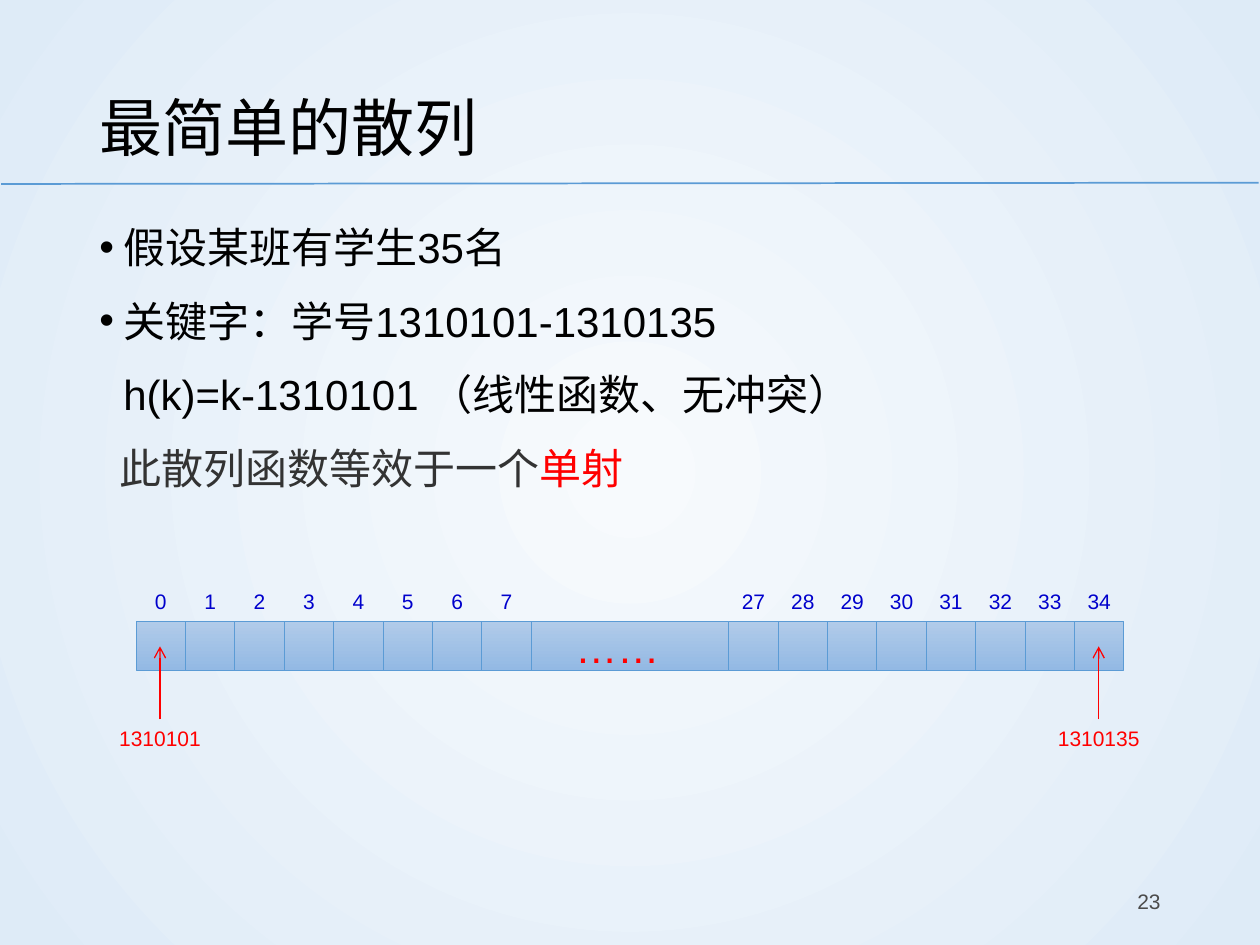
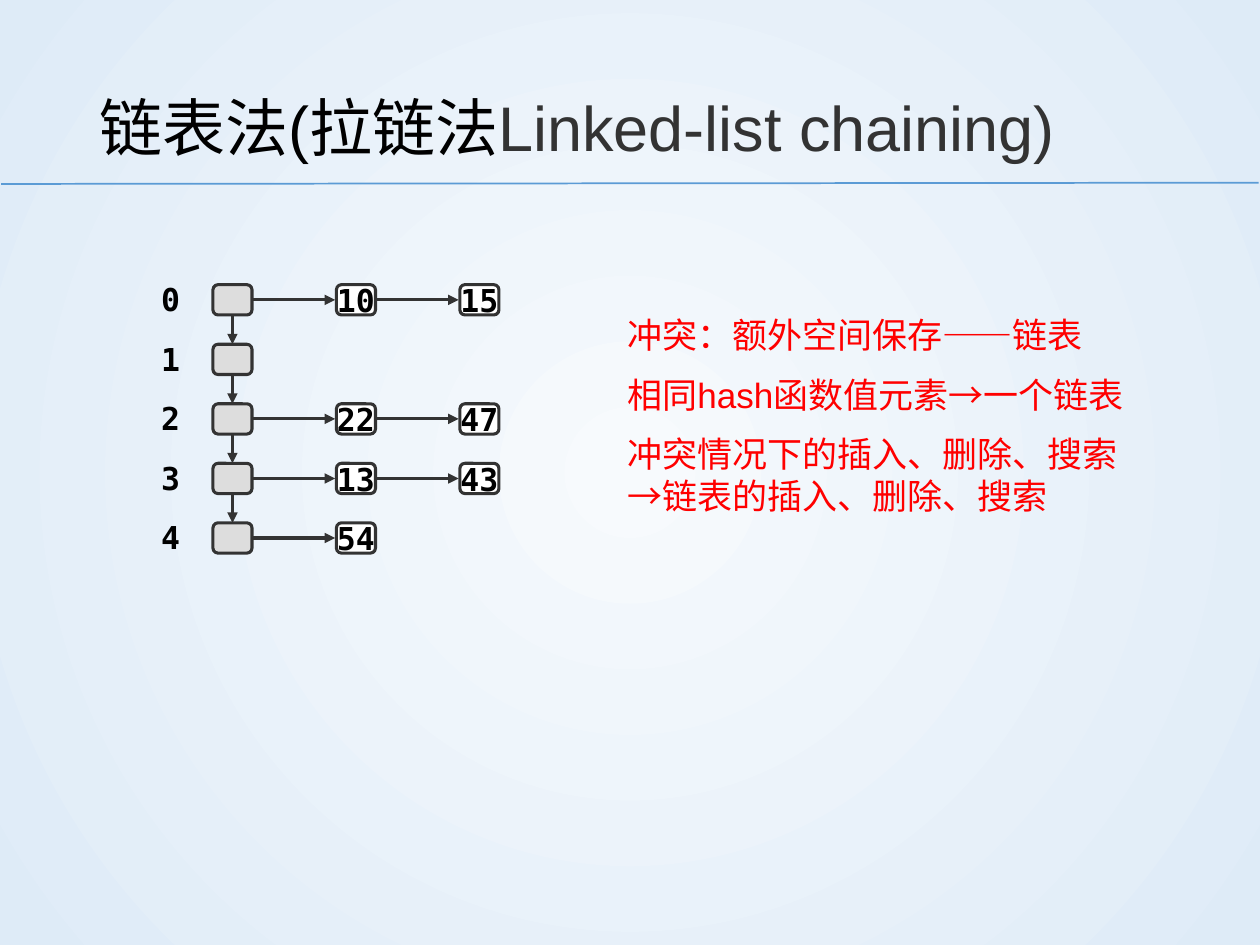
"""Build two slides on hashing: direct addressing and linked-list chaining."""
from lxml.etree import SubElement
from pptx import Presentation
from pptx.dml.color import RGBColor
from pptx.enum.shapes import MSO_CONNECTOR, MSO_SHAPE
from pptx.enum.text import MSO_ANCHOR, PP_ALIGN
from pptx.oxml.ns import qn
from pptx.util import Inches, Pt

BLACK = RGBColor(0x00, 0x00, 0x00)
DARK = RGBColor(0x33, 0x33, 0x33)
GREY = RGBColor(0x4B, 0x4B, 0x4B)
RED = RGBColor(0xFF, 0x00, 0x00)
INDEX_BLUE = RGBColor(0x00, 0x00, 0xCC)
RULE_BLUE = RGBColor(0x5B, 0x9B, 0xD5)
SLOT = RGBColor(0xDD, 0xDD, 0xDD)
WHITE = RGBColor(0xFF, 0xFF, 0xFF)
BG_STOPS = RGBColor(0xF7, 0xFA, 0xFD), RGBColor(0xDE, 0xEB, 0xF7)
CELL_STOPS = RGBColor(0xB1, 0xCB, 0xE9), RGBColor(0x93, 0xB9, 0xE4)

TITLE = {"size": Pt(36), "name": "Arial"}
BODY = {"size": Pt(24), "name": "Arial"}
NOTE = {"size": Pt(20), "name": "Arial"}
SMALL = {"size": Pt(12), "name": "Arial"}
MONO = {"size": Pt(18), "name": "DejaVu Sans Mono", "bold": True}
CENTER = {"alignment": PP_ALIGN.CENTER}
MIDDLE = {"vertical_anchor": MSO_ANCHOR.MIDDLE}
NO_SIDES = {"margin_left": 0, "margin_right": 0}
TIGHT = {**MIDDLE, **NO_SIDES, "margin_top": 0, "margin_bottom": 0, "word_wrap": False}


def write(sp, paragraphs, font, para={}, frame={}):
    tf = sp.text_frame
    for key, value in {"word_wrap": True, **frame}.items():
        setattr(tf, key, value)
    for i, runs in enumerate(paragraphs):
        p = tf.add_paragraph() if i else tf.paragraphs[0]
        for key, value in para.items():
            setattr(p, key, value)
        for text, color in runs:
            r = p.add_run()
            r.text = text
            r.font.color.rgb = color
            for key, value in font.items():
                setattr(r.font, key, value)
    return tf


def connect(s, x1, y1, x2, y2, color, width, head=None):
    c = s.shapes.add_connector(MSO_CONNECTOR.STRAIGHT, *map(Inches, (x1, y1, x2, y2)))
    c.line.color.rgb = color
    c.line.width = Pt(width)
    spPr = c.element.spPr
    if head:
        SubElement(spPr.find(qn("a:ln")), qn("a:tailEnd"), type=head)
    SubElement(spPr, qn("a:effectLst"))


prs = Presentation()
prs.slide_width, prs.slide_height = Inches(10), Inches(7.5)

titles = [
    [("最简单的散列", BLACK)],
    [("链表法(拉链法", BLACK), ("Linked-list chaining)", DARK)],
]
slides = []
for title in titles:
    s = prs.slides.add_slide(prs.slide_layouts[6])
    fill = s.background.fill
    fill.gradient()
    for stop, color in zip(fill.gradient_stops, BG_STOPS):
        stop.color.rgb = color
    lin = next(s.background._cSld.iter(qn("a:lin")))
    grad = lin.getparent()
    grad.remove(lin)
    circle = SubElement(grad, qn("a:path"), path="circle")
    SubElement(circle, qn("a:fillToRect"), {side: "50000" for side in "ltrb"})
    connect(s, 0.01, 1.46, 9.99, 1.45, RULE_BLUE, 1)
    sp = s.shapes.add_textbox(*map(Inches, (0.69, 0.4, 8.62, 1.08)))
    write(sp, [title], TITLE, {"line_spacing": 1.2}, MIDDLE)
    slides.append(s)
direct, chaining = slides

s = direct
sp = s.shapes.add_textbox(*map(Inches, (0.69, 1.63, 8.62, 5.13)))
tf = write(sp, [
    [("假设某班有学生35名", BLACK)],
    [("关键字：学号1310101-1310135", BLACK)],
    [("h(k)=k-1310101 （线性函数、无冲突）", BLACK)],
    [("此散列函数等效于一个", DARK), ("单射", RED)],
], BODY, {"line_spacing": 1.2, "space_before": Pt(7.5)})
for p, margin, bullet in zip(tf.paragraphs, (0.19, 0.19, 0.19, 0.16), (True, True, False, False)):
    pPr = p._p.get_or_add_pPr()
    pPr.set("marL", str(Inches(margin)))
    pPr.set("indent", str(-Inches(margin) if bullet else 0))
    if bullet:
        SubElement(pPr, qn("a:buFont"), typeface="Arial")
        SubElement(pPr, qn("a:buChar"), char="•")

sp = s.shapes.add_textbox(*map(Inches, (7.06, 6.95, 2.25, 0.4)))
write(sp, [[("23", GREY)]], SMALL, {"alignment": PP_ALIGN.RIGHT}, MIDDLE)

strip_left, strip_top, cell = 1.08, 4.93, 7.84 / 20
slots = [(i, 1, str(i)) for i in range(8)]
slots += [(i, 1, str(i + 15)) for i in range(12, 20)]
slots.append((8, 4, None))
for column, span, label in slots:
    x = strip_left + column * cell
    sp = s.shapes.add_shape(MSO_SHAPE.RECTANGLE, *map(Inches, (x, strip_top, span * cell, cell)))
    sp.shadow.inherit = False
    sp.fill.gradient()
    sp.fill.gradient_angle = 270
    for stop, color in zip(sp.fill.gradient_stops, CELL_STOPS):
        stop.color.rgb = color
    sp.line.color.rgb = RULE_BLUE
    sp.line.width = Pt(0.5)
    if label:
        sp = s.shapes.add_textbox(*map(Inches, (x, 4.62, cell, 0.3)))
        write(sp, [[(label, INDEX_BLUE)]], SMALL, CENTER, NO_SIDES)
    else:
        write(sp, [[("……", RED)]], BODY, {**CENTER, "space_before": Pt(12)},
              {**TIGHT, "vertical_anchor": MSO_ANCHOR.TOP, "margin_right": Inches(0.2),
               "word_wrap": True})

for x, key in ((1.27, "1310101"), (8.72, "1310135")):
    connect(s, x, 5.71, x, 5.13, RED, 0.75, "arrow")
    sp = s.shapes.add_textbox(*map(Inches, (x - 0.59, 5.71, 1.18, 0.3)))
    write(sp, [[(key, RED)]], SMALL, CENTER)

s = chaining
sp = s.shapes.add_textbox(*map(Inches, (4.88, 2.44, 4.33, 1.77)))
write(sp, [
    [("冲突：额外空间保存——链表", RED)],
    [("相同hash函数值元素→一个链表", RED)],
    [("冲突情况下的插入、删除、搜索→链表的插入、删除、搜索", RED)],
], NOTE, {"space_before": Pt(10)})

node_w, node_h = 0.31, 0.24
left, top, column_step, row_step = 1.69, 2.26, 0.98, 1.89 / 4
chains = [["10", "15"], [], ["22", "47"], ["13", "43"], ["54"]]
for row, chain in enumerate(chains):
    y = top + row * row_step
    middle = y + node_h / 2
    sp = s.shapes.add_textbox(*map(Inches, (1.12, y - 0.04, 0.47, 0.31)))
    write(sp, [[(str(row), BLACK)]], MONO, CENTER, TIGHT)
    for column, value in enumerate([None, *chain]):
        x = left + column * column_step
        sp = s.shapes.add_shape(MSO_SHAPE.ROUNDED_RECTANGLE,
                                *map(Inches, (x, y, node_w, node_h)))
        sp.shadow.inherit = False
        sp.fill.solid()
        sp.fill.fore_color.rgb = WHITE if value else SLOT
        sp.line.color.rgb = DARK
        sp.line.width = Pt(1.75)
        if value:
            write(sp, [[(value, BLACK)]], MONO, CENTER, TIGHT)
            connect(s, x - column_step + node_w, middle, x - 0.01, middle, DARK, 1.75, "triangle")
    if row:
        x = left + node_w / 2
        connect(s, x, y - row_step + node_h, x, y, DARK, 1.75, "triangle")

prs.save("out.pptx")
